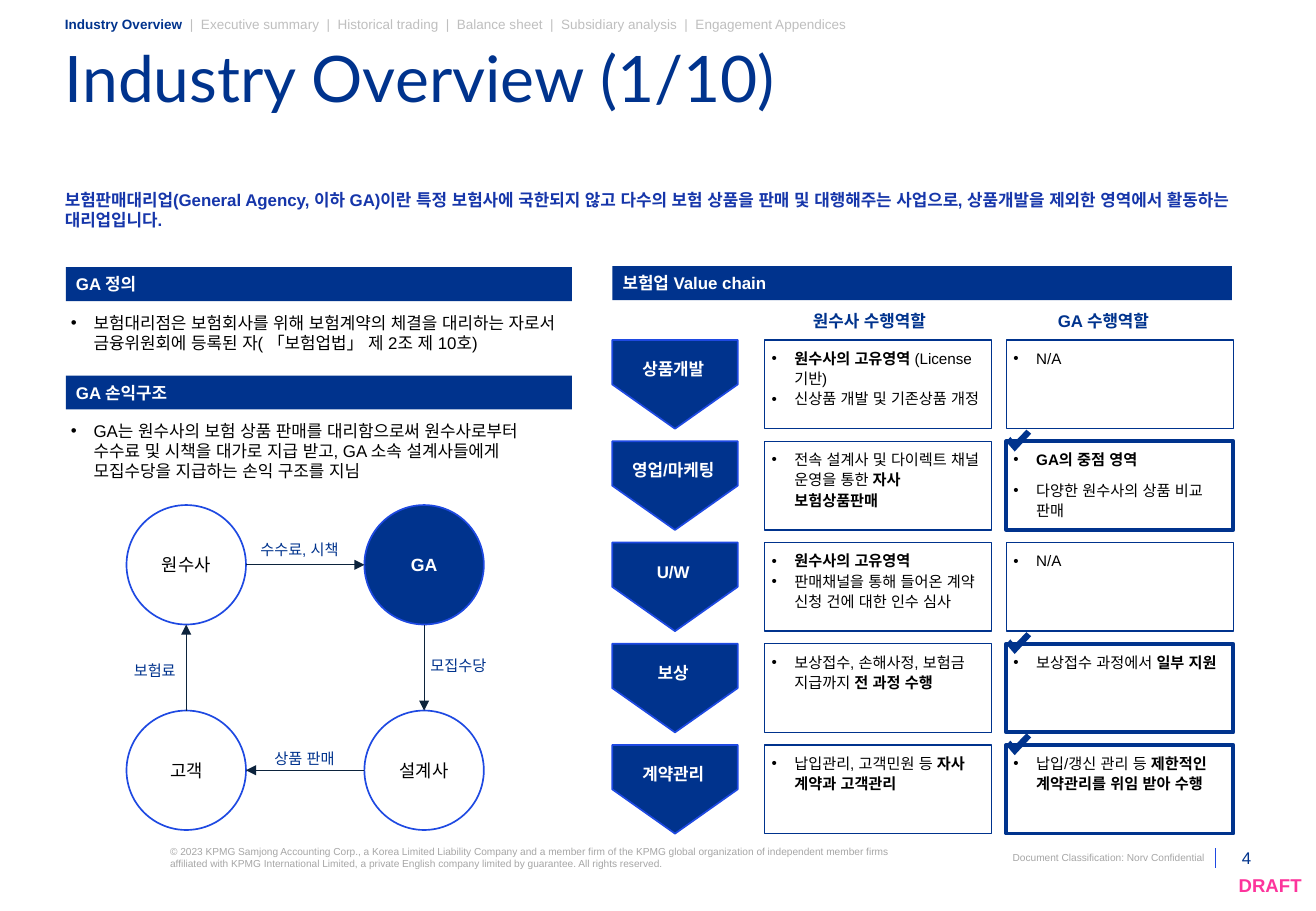
from lxml.etree import SubElement
from pptx import Presentation
from pptx.dml.color import RGBColor
from pptx.enum.lang import MSO_LANGUAGE_ID as Lang
from pptx.enum.shapes import MSO_CONNECTOR as Link, MSO_SHAPE as Preset
from pptx.enum.text import MSO_ANCHOR as Anchor, MSO_AUTO_SIZE as Fit, PP_ALIGN as Align
from pptx.oxml.ns import qn
from pptx.util import Emu, Inches, Pt

COLORS = {
    "navy": "00338D", "blue": "1E49E2", "lead": "1636AA", "ink": "0C233C",
    "black": "000000", "white": "FFFFFF", "pink": "FD349C",
    "grey": "A6A6A6", "pale": "BFBFBF",
}
COLUMNS, ROWS = 130, 90
WIDTH, HEIGHT = Inches(130 / 12), Inches(7.5)
INSET = 0.72
INDENT = 2.25
CHECK = [(2.46, 0.4), (0.84, 2.16), (0, 1.2), (0.4, 0.72), (0.84, 1.2), (2, 0)]


def rgb(name):
    return RGBColor.from_string(COLORS[name])


def col(count):
    return Emu(round(WIDTH * count / COLUMNS))


def row(count):
    return Emu(round(HEIGHT * count / ROWS))


def write(frame, *texts, size=10, color="black", bold=False, strong=None, font="Arial",
          align=Align.LEFT, anchor=Anchor.TOP, inset=(0, 0), wrap=True,
          spacing=None, after=0, bullet=False):
    frame.auto_size = Fit.NONE
    frame.word_wrap = wrap
    frame.vertical_anchor = anchor
    frame.margin_left = frame.margin_right = col(inset[0])
    frame.margin_top = frame.margin_bottom = row(inset[1])
    for index, text in enumerate(texts):
        paragraph = frame.add_paragraph() if index else frame.paragraphs[0]
        paragraph.alignment = align
        paragraph.space_before = Pt(0)
        paragraph.space_after = Pt(after)
        if spacing:
            paragraph.line_spacing = spacing
        if bullet:
            properties = paragraph._p.get_or_add_pPr()
            properties.set("marL", str(col(INDENT)))
            properties.set("indent", str(-col(INDENT)))
            SubElement(properties, qn("a:buFont"), typeface="Arial")
            SubElement(properties, qn("a:buChar"), char="•")
        for part, piece in enumerate(text.split("*")):
            if piece:
                run = paragraph.add_run()
                run.text = piece
                emphasized = part % 2 == 1
                run.font.name = font
                run.font.size = Pt(size)
                run.font.bold = bold or emphasized
                run.font.language_id = Lang.KOREAN
                run.font.color.rgb = rgb(strong if emphasized and strong else color)


class Board:
    def __init__(self, deck):
        self.slide = deck.slides.add_slide(deck.slide_layouts[3])
        self.shapes = self.slide.shapes

    def fill_placeholder(self, index, x, y, w, h, *texts, **style):
        holder = self.slide.placeholders[index]
        holder.left, holder.top, holder.width, holder.height = col(x), row(y), col(w), row(h)
        write(holder.text_frame, *texts, **style)

    def text(self, x, y, w, h, *texts, **style):
        box = self.shapes.add_textbox(col(x), row(y), col(w), row(h))
        write(box.text_frame, *texts, **style)

    def paint(self, shape, fill, line, weight):
        shape.shadow.inherit = False
        if fill:
            shape.fill.solid()
            shape.fill.fore_color.rgb = rgb(fill)
        else:
            shape.fill.background()
        if line:
            shape.line.color.rgb = rgb(line)
            shape.line.width = Pt(weight)
        else:
            shape.line.fill.background()

    def shape(self, preset, x, y, w, h, *texts, fill=None, line=None, weight=1, turn=0, **style):
        shape = self.shapes.add_shape(preset, col(x), row(y), col(w), row(h))
        shape.rotation = turn
        self.paint(shape, fill, line, weight)
        if texts:
            write(shape.text_frame, *texts, **style)

    def bar(self, x, y, w, heading):
        self.shape(Preset.RECTANGLE, x, y, w, 3.36, heading, fill="navy", color="white",
                   bold=True, anchor=Anchor.MIDDLE, inset=(1, 0))

    def line(self, x1, y1, x2, y2, color="ink", arrow=True):
        link = self.shapes.add_connector(Link.STRAIGHT, col(x1), row(y1), col(x2), row(y2))
        link.line.color.rgb = rgb(color)
        link.line.width = Pt(0.5)
        if arrow:
            SubElement(link.line._get_or_add_ln(), qn("a:tailEnd"), type="triangle")
        SubElement(link._element.spPr, qn("a:effectLst"))

    def check(self, x, y):
        points = [(col(x + dx), row(y + dy)) for dx, dy in CHECK]
        builder = self.shapes.build_freeform(*points[0])
        builder.add_line_segments(points[1:], close=True)
        self.paint(builder.convert_to_shape(), "navy", None, 0)


def add_frame(board):
    board.text(120.4, 83.8, 3.2, 1.9, "4", color="navy", align=Align.RIGHT, anchor=Anchor.BOTTOM)
    board.text(101.5, 84.1, 17.5, 1.2, "Document Classification: Norv Confidential",
               size=6, color="grey", align=Align.RIGHT, wrap=False)
    board.text(16.8, 83.5, 71, 2.4,
               "© 2023 KPMG Samjong Accounting Corp., a Korea Limited Liability Company and a member "
               "firm of the KPMG global organization of independent member firms affiliated with KPMG "
               "International Limited, a private English company limited by guarantee. All rights reserved.",
               size=6, color="grey")
    board.line(120.1, 83.8, 120.1, 85.8, color="blue", arrow=False)
    board.text(120.8, 85.8, 7.8, 3.2, "DRAFT", size=11, color="pink", bold=True,
               align=Align.RIGHT, anchor=Anchor.MIDDLE)
    board.text(6.4, 1.44, 105, 1.7,
               "*Industry Overview  *|  Executive summary  |  Historical trading  |  Balance sheet  |  "
               "Subsidiary analysis  |  Engagement Appendices",
               size=8, color="pale", strong="navy", spacing=1.1)
    board.fill_placeholder(0, 6.4, 5.9, 117, 9.5, "Industry Overview (1/10)",
                           size=38, color="navy", font="Lato", spacing=0.7)
    board.text(6.4, 18.7, 117, 5.8,
               "보험판매대리업(General Agency, 이하 GA)이란 특정 보험사에 국한되지 않고 다수의 보험 상품을 "
               "판매 및 대행해주는 사업으로, 상품개발을 제외한 영역에서 활동하는 대리업입니다.",
               color="lead", bold=True)


def add_definition(board):
    listing = dict(anchor=Anchor.MIDDLE, spacing=Pt(12), bullet=True)
    board.bar(6.5, 26.4, 50, "GA 정의")
    board.fill_placeholder(1, 7, 29.6, 48, 6.5,
                           "보험대리점은 보험회사를 위해 보험계약의 체결을 대리하는 자로서 금융위원회에 "
                           "등록된 자( 「보험업법」 제 2조 제 10호)", **listing)
    board.bar(6.5, 37.1, 50, "GA 손익구조")
    board.fill_placeholder(2, 7, 41.3, 48, 6.5,
                           "GA는 원수사의 보험 상품 판매를 대리함으로써 원수사로부터 수수료 및 시책을 대가로 "
                           "지급 받고, GA 소속 설계사들에게 모집수당을 지급하는 손익 구조를 지님", **listing)


def add_money_flow(board):
    left, right, top, bottom, size = 12.5, 36, 49.9, 70.2, 11.8
    half = size / 2
    for party, x, y in [("원수사", left, top), ("고객", left, bottom), ("설계사", right, bottom), ("GA", right, top)]:
        agency = party == "GA"
        board.shape(Preset.OVAL, x, y, size, size, party, fill="navy" if agency else None,
                    line="blue", color="white" if agency else "black", bold=agency, size=10.5,
                    align=Align.CENTER, anchor=Anchor.MIDDLE, inset=(INSET, INSET))
    board.line(left + size, top + half, right, top + half)
    board.line(right + half, top + size, right + half, bottom)
    board.line(right, bottom + half, left + size, bottom + half)
    board.line(left + half, bottom, left + half, top + size)
    for label, x, y in [("수수료, 시책", 25, 52.7), ("모집수당", 41.8, 64.1),
                        ("상품 판매", 26.4, 73.3), ("보험료", 12.5, 64.6)]:
        board.text(x, y, 11, 3.3, label, size=9, color="navy", inset=(INSET, INSET))


def add_value_chain(board):
    insurer_x, agency_x, first, pitch, height = 75.5, 99.4, 33.6, 10, 8.76
    board.bar(60.5, 26.3, 61.2, "보험업 Value chain")
    for header, x in [("원수사 수행역할", 80.3), ("GA 수행역할", 104.5)]:
        board.text(x, 28, 18, 7.3, header, color="navy", bold=True, anchor=Anchor.MIDDLE)
    steps = [
        ("상품개발", ["*원수사의 고유영역* (License 기반)", "신상품 개발 및 기존상품 개정"], ["N/A"]),
        ("영업/마케팅", ["전속 설계사 및 다이렉트 채널 운영을 통한 *자사 보험상품판매*"],
         ["*GA의 중점 영역*", "다양한 원수사의 상품 비교 판매"]),
        ("U/W", ["*원수사의 고유영역*", "판매채널을 통해 들어온 계약 신청 건에 대한 인수 심사"], ["N/A"]),
        ("보상", ["보상접수, 손해사정, 보험금 지급까지 *전 과정 수행*"], ["보상접수 과정에서 *일부 지원*"]),
        ("계약관리", ["납입관리, 고객민원 등 *자사 계약과 고객관리*"],
         ["납입/갱신 관리 등 *제한적인 계약관리를 위임 받아 수행*"]),
    ]
    for index, (step, insurer, agency) in enumerate(steps):
        y = first + index * pitch
        involved = agency != ["N/A"]
        board.shape(Preset.PENTAGON, 62.3, y - 1.82, height, 12.4, fill="navy", line="blue", turn=90)
        board.text(60.3, y + 1.2, 12.4, 3.3, step, color="white", bold=True,
                   align=Align.CENTER, anchor=Anchor.MIDDLE)
        for x, roles, weight, after in [(insurer_x, insurer, 0.75, 0),
                                        (agency_x, agency, 2.25 if involved else 0.75, 6)]:
            board.shape(Preset.RECTANGLE, x, y, 22.44, height, *roles, line="navy", weight=weight,
                        size=9, spacing=Pt(12), after=after, bullet=True, inset=(INSET, INSET))
        if involved:
            board.check(agency_x, y - 1.15)


def main():
    deck = Presentation()
    deck.slide_width, deck.slide_height = WIDTH, HEIGHT
    board = Board(deck)
    add_frame(board)
    add_definition(board)
    add_money_flow(board)
    add_value_chain(board)
    deck.save("out.pptx")


if __name__ == "__main__":
    main()
